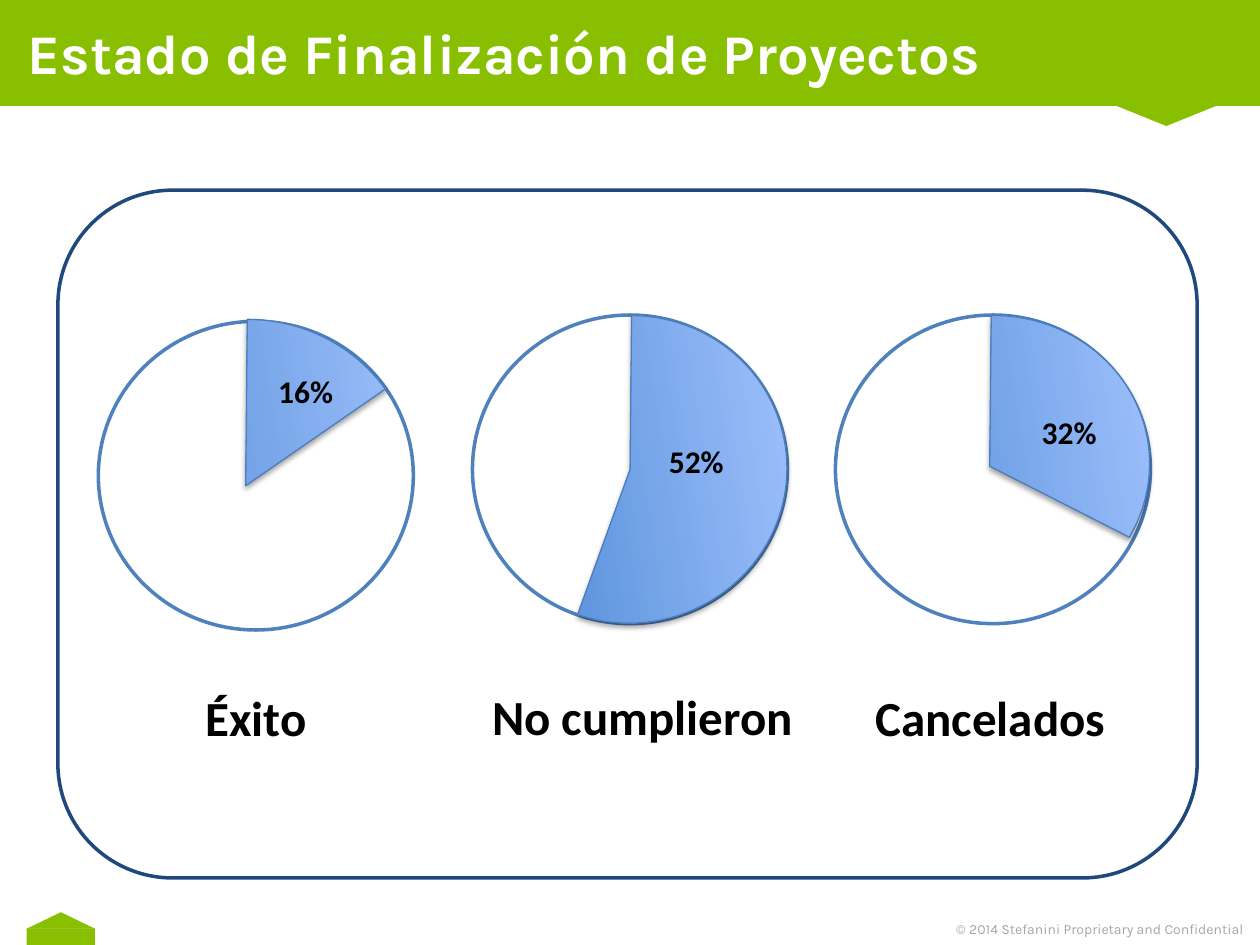
from lxml import etree
from pptx import Presentation
from pptx.dml.color import RGBColor
from pptx.enum.shapes import MSO_SHAPE as SHAPE
from pptx.enum.text import MSO_ANCHOR as ANCHOR, MSO_AUTO_SIZE as AUTO, PP_ALIGN as ALIGN
from pptx.oxml.ns import qn
from pptx.util import Pt

# Content: positions and sizes in points
TITLE = "Estado de Finalización de Proyectos"
FOOTER = "© 2014 Stefanini Proprietary and Confidential"
CIRCLE_SIZE = (180, 176.4)
PIE_START, PIE_TURN = 113.666, 81.1
OUTCOMES = [
    dict(name="Éxito", share="16%", circle=(56.2, 183.6), label=(110.2, 389.5, 72.7, 41),
         pie=(45.4, 180, 190, 195.1), end=146.51, share_box=(151.9, 208.8, 46, 29)),
    dict(name="No cumplieron", share="52%", circle=(270, 180), label=(274.3, 388.8, 188, 41),
         pie=(272.2, 178.6, 175.7, 179.3), end=17.26, share_box=(375.1, 249.1, 46, 29)),
    dict(name="Cancelados", share="32%", circle=(477.4, 180), label=(493.2, 389.5, 147.6, 41),
         pie=(479.5, 175, 172.1, 182.9), end=183.5, share_box=(588.2, 232.6, 46, 30)),
]


class Theme:
    green, white, black, grey = "88BF00", "FFFFFF", "000000", "A6A6A6"
    navy, blue, pie_line = "1F497D", "4F81BD", "4B7EBC"
    pie_dark, pie_light = "3F80CE", "A4C4FF"
    brand_font, body_font = "Karla", "Calibri"
    title, label, share, footer = 32, 28, 18, 8


def rgb(value):
    return RGBColor.from_string(value)


def add_shape(shapes, kind, box, fill=None, line=None, width=2):
    s = shapes.add_shape(kind, *map(Pt, box))
    s.shadow.inherit = False
    if fill:
        s.fill.solid()
        s.fill.fore_color.rgb = rgb(fill)
    if line:
        s.line.color.rgb = rgb(line)
        s.line.width = Pt(width)
    else:
        s.line.fill.background()
    return s


def add_run(p, text, size, color, font, bold=True):
    r = p.add_run()
    r.text = text
    r.font.size, r.font.bold, r.font.name = Pt(size), bold, font
    r.font.color.rgb = rgb(color)


def add_label(shapes, text, box, size):
    tf = shapes.add_textbox(*map(Pt, box)).text_frame
    tf.word_wrap = False
    tf.auto_size = AUTO.SHAPE_TO_FIT_TEXT
    add_run(tf.paragraphs[0], text, size, Theme.black, Theme.body_font)


def add_drop_shadow(s):
    effects = s._element.spPr.find(qn("a:effectLst"))
    shadow = etree.SubElement(effects, qn("a:outerShdw"), blurRad=str(Pt(3.1)),
                              dist=str(Pt(1.8)), dir="5400000", rotWithShape="0")
    color = etree.SubElement(shadow, qn("a:srgbClr"), val=Theme.black)
    etree.SubElement(color, qn("a:alpha"), val="35000")


def add_pie(shapes, box, end):
    s = add_shape(shapes, SHAPE.PIE, box, line=Theme.pie_line, width=0.75)
    s.rotation = PIE_TURN
    s.adjustments[0], s.adjustments[1] = PIE_START, end
    s.fill.gradient()
    s.fill.gradient_angle = 90
    for stop, color, position in zip(s.fill.gradient_stops,
                                     (Theme.pie_dark, Theme.pie_light), (0, 1)):
        stop.color.rgb, stop.position = rgb(color), position
    add_drop_shadow(s)


def main():
    prs = Presentation()
    prs.slide_width, prs.slide_height = Pt(720), Pt(540)
    slide = prs.slides.add_slide(prs.slide_layouts[5])
    shapes = slide.shapes

    # Header band with its pointer
    add_shape(shapes, SHAPE.RECTANGLE, (0, 0, 720, 60.5), Theme.green)
    pointer = add_shape(shapes, SHAPE.ISOSCELES_TRIANGLE, (638, 60.5, 57, 11.5), Theme.green)
    pointer.rotation = 180

    # Footer line and house mark
    tf = shapes.add_textbox(Pt(399), Pt(522.5), Pt(319), Pt(17)).text_frame
    tf.word_wrap = True
    p = tf.paragraphs[0]
    p.alignment = ALIGN.RIGHT
    add_run(p, FOOTER, Theme.footer, Theme.grey, Theme.brand_font, bold=False)
    add_shape(shapes, SHAPE.RECTANGLE, (15.3, 530.6, 39, 9.4), Theme.green)
    add_shape(shapes, SHAPE.ISOSCELES_TRIANGLE, (15.3, 521.3, 39, 9.4), Theme.green)

    # Rounded panel
    add_shape(shapes, SHAPE.ROUNDED_RECTANGLE, (33.1, 108.7, 651, 393), Theme.white, Theme.navy)

    # Title, raised above the band
    title = shapes.title
    title.left, title.top, title.width, title.height = map(Pt, (8.6, 10, 561, 39.6))
    shapes._spTree.append(title._element)
    tf = title.text_frame
    tf.auto_size, tf.vertical_anchor, tf.word_wrap = AUTO.NONE, ANCHOR.MIDDLE, True
    p = tf.paragraphs[0]
    p.alignment = ALIGN.LEFT
    add_run(p, TITLE, Theme.title, Theme.white, Theme.brand_font)

    # One circle, slice and pair of labels per outcome
    for o in OUTCOMES:
        add_shape(shapes, SHAPE.OVAL, o["circle"] + CIRCLE_SIZE, Theme.white, Theme.blue)
        add_label(shapes, o["name"], o["label"], Theme.label)
        group = shapes.add_group_shape()
        add_pie(group.shapes, o["pie"], o["end"])
        add_label(group.shapes, o["share"], o["share_box"], Theme.share)

    prs.save("out.pptx")


if __name__ == "__main__":
    main()
